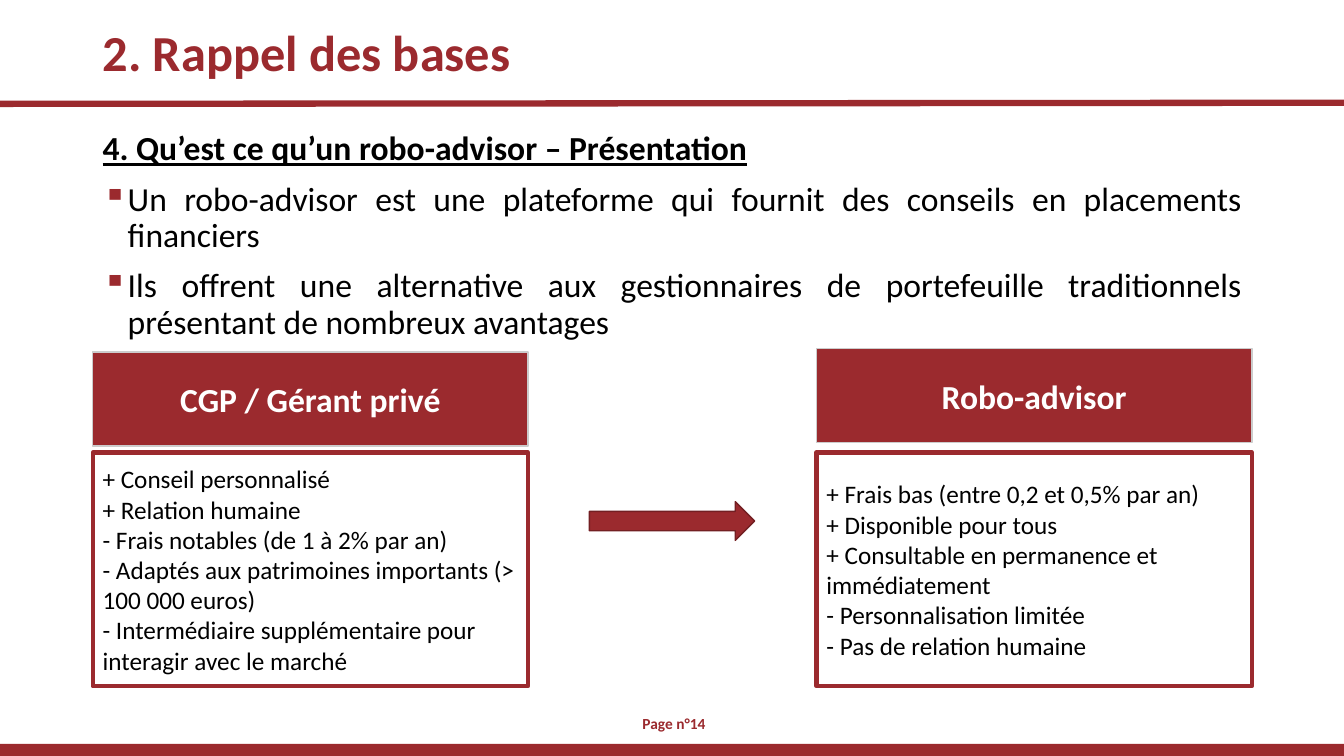
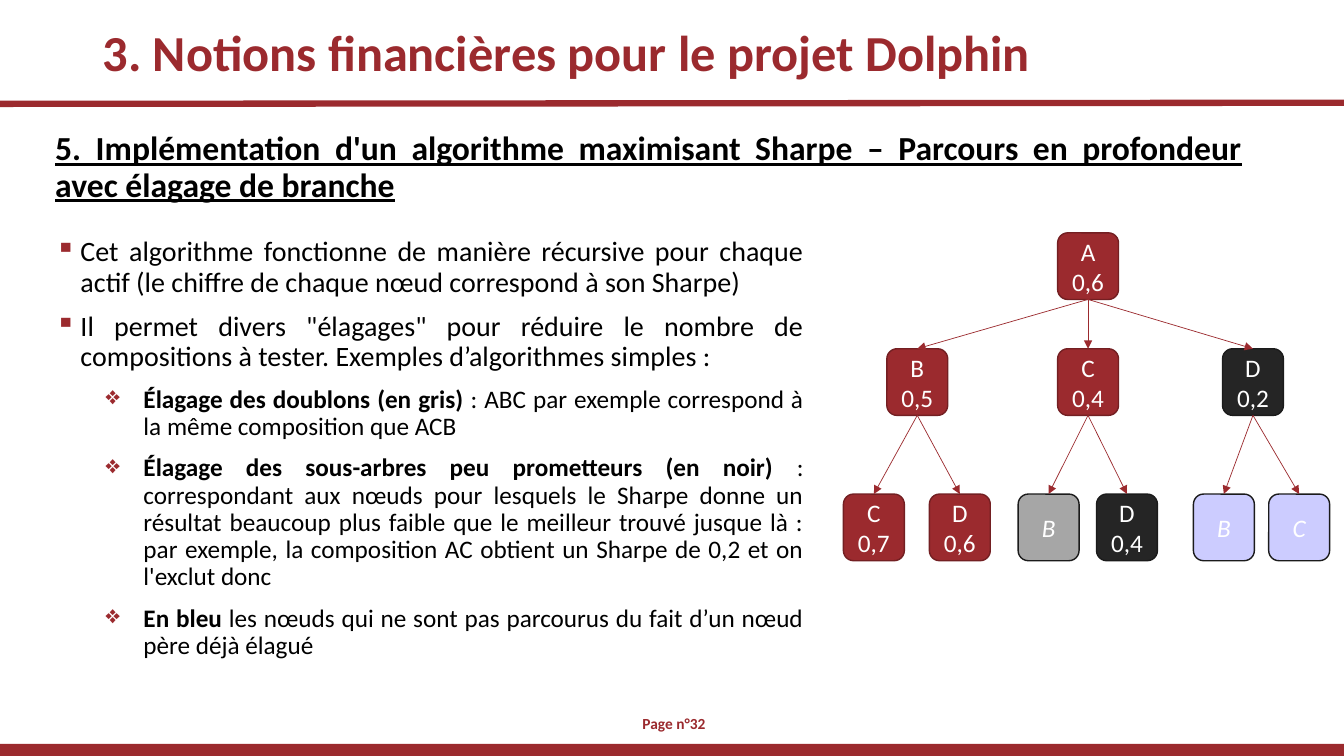
from dataclasses import dataclass

from lxml.etree import SubElement
from pptx import Presentation
from pptx.dml.color import RGBColor
from pptx.enum.shapes import MSO_CONNECTOR as Link, MSO_SHAPE as Form
from pptx.enum.text import MSO_ANCHOR as Anchor, PP_ALIGN as Align
from pptx.oxml.ns import qn
from pptx.util import Pt


@dataclass(frozen=True)
class Theme:
    """Colours, type sizes and page measures shared by the deck."""
    font: str = "Calibri"
    red: str = "9B2A2E"
    dark_red: str = "731F22"
    black: str = "000000"
    white: str = "FFFFFF"
    coal: str = "252525"
    edge: str = "1B1B1B"
    grey: str = "A6A6A6"
    blue: str = "CCCCFF"
    pale: str = "CCCCCC"
    title: int = 36
    heading: int = 24
    body: int = 20
    small: int = 18
    footer: int = 11
    width: int = 960
    height: int = 540
    margin: float = 66.2


@dataclass(frozen=True)
class Bullet:
    """A bullet sign with its left margin and hanging indent."""
    sign: str
    left: int
    hang: int
    level: int = 0


SQUARE = Bullet("▪", 18, 18)
DIAMOND = Bullet("❖", 63, 27, 1)


class Painter:
    """Draws styled elements on the current slide."""

    def __init__(self, theme):
        """Open an empty deck of the theme's size."""
        self.theme = theme
        self.deck = Presentation()
        self.deck.slide_width = Pt(theme.width)
        self.deck.slide_height = Pt(theme.height)
        self.page = None

    def new_page(self, title, number):
        """Start a slide with its title, rule, footer band and number."""
        t = self.theme
        self.page = self.deck.slides.add_slide(self.deck.slide_layouts[6])
        self.shape(Form.RECTANGLE, (0, 531.4, t.width, 8.6), fill=t.red)
        rule = self.page.shapes.add_connector(
            Link.STRAIGHT, Pt(0), Pt(74.2), Pt(t.width), Pt(73.4))
        self.stroke(rule, 4.5)
        frame = self.text_box((t.margin, 15.1, 828, 49), Anchor.MIDDLE)
        para = self.para(frame, spacing=0.9)
        self.span(para, title, t.title, t.red, bold=True)
        frame = self.text_box((443.5, 502.6, 73.4, 28.8), Anchor.MIDDLE)
        para = self.para(frame, Align.CENTER)
        self.span(para, f" Page n°{number}", t.footer, t.red, bold=True)

    def text_box(self, area, anchor=Anchor.TOP):
        """Add a wrapping text box and return its frame."""
        box = self.page.shapes.add_textbox(*map(Pt, area))
        frame = box.text_frame
        frame.word_wrap = True
        frame.vertical_anchor = anchor
        return frame

    def para(self, frame, align=Align.LEFT, spacing=None, before=0, bullet=None):
        """Return the frame's first empty paragraph or a new one."""
        last = frame.paragraphs[-1]
        para = frame.add_paragraph() if last.runs else last
        para.alignment = align
        para.space_before = Pt(before)
        if spacing:
            para.line_spacing = spacing
        if bullet:
            para.level = bullet.level
            props = para._p.get_or_add_pPr()
            props.set("marL", str(Pt(bullet.left)))
            props.set("indent", str(-Pt(bullet.hang)))
            colour = SubElement(props, qn("a:buClr"))
            SubElement(colour, qn("a:srgbClr"), val=self.theme.red)
            SubElement(props, qn("a:buChar"), char=bullet.sign)
        return para

    def span(self, para, text, size, colour, bold=False, italic=False, underline=False):
        """Add one styled run."""
        span = para.add_run()
        span.text = text
        font = span.font
        font.name, font.size = self.theme.font, Pt(size)
        font.color.rgb = RGBColor.from_string(colour)
        font.bold, font.italic, font.underline = bold, italic, underline

    def heading(self, frame, text):
        """Add the underlined section heading."""
        para = self.para(frame, Align.JUSTIFY, 0.9, 10)
        self.span(para, text, self.theme.heading, self.theme.black,
                  bold=True, underline=True)

    def point(self, frame, text, size, bullet=SQUARE, lead=""):
        """Add a justified bullet point with an optional bold lead."""
        para = self.para(frame, Align.JUSTIFY, 0.9, 10, bullet)
        if lead:
            self.span(para, lead, size, self.theme.black, bold=True)
        self.span(para, text, size, self.theme.black)

    def shape(self, form, area, fill=None, line=None, weight=1):
        """Add a flat preset shape."""
        shape = self.page.shapes.add_shape(form, *map(Pt, area))
        shape.shadow.inherit = False
        if fill:
            shape.fill.solid()
            shape.fill.fore_color.rgb = RGBColor.from_string(fill)
        else:
            shape.fill.background()
        if line:
            shape.line.color.rgb = RGBColor.from_string(line)
            shape.line.width = Pt(weight)
        else:
            shape.line.fill.background()
        shape.text_frame.word_wrap = True
        shape.text_frame.vertical_anchor = Anchor.MIDDLE
        return shape

    def stroke(self, line, weight):
        """Give a connector the red line without a shadow."""
        line.line.color.rgb = RGBColor.from_string(self.theme.red)
        line.line.width = Pt(weight)
        SubElement(line._element.spPr, qn("a:effectLst"))

    def card(self, left, top, title, lines):
        """Add a filled header above an outlined list of lines."""
        t = self.theme
        header = self.shape(Form.RECTANGLE, (left, top, 311, 67), t.red, t.pale)
        para = self.para(header.text_frame, Align.CENTER)
        self.span(para, title, t.heading, t.white, bold=True)
        panel = self.shape(Form.RECTANGLE, (left, 323.2, 311, 167), None, t.red, 3)
        for line in lines:
            self.span(self.para(panel.text_frame), line, t.small, t.black)

    def node(self, centre, top, lines, fill, parent=None):
        """Add a tree node and the arrow from its parent."""
        t = self.theme
        edge = t.dark_red if fill == t.red else t.edge
        node = self.shape(Form.ROUNDED_RECTANGLE,
                          (centre - 21.75, top, 43.5, 47.6), fill, edge)
        for line in lines:
            para = self.para(node.text_frame, Align.CENTER)
            self.span(para, line, t.small, t.white, italic=len(lines) == 1)
        if parent:
            arrow = self.page.shapes.add_connector(Link.STRAIGHT, 0, 0, 0, 0)
            arrow.begin_connect(parent, 2)
            arrow.end_connect(node, 0)
            self.stroke(arrow, 0.5)
            SubElement(arrow.line._get_or_add_ln(), qn("a:tailEnd"), type="triangle")
        return node


def build_advisor(painter):
    """Compare private managers with robo-advisors."""
    t = painter.theme
    painter.new_page("2. Rappel des bases", 14)
    frame = painter.text_box((t.margin, 90.7, 828, 405))
    painter.heading(frame, "4. Qu’est ce qu’un robo-advisor – Présentation")
    for text in (
        "Un robo-advisor est une plateforme qui fournit des conseils en "
        "placements financiers",
        "Ils offrent une alternative aux gestionnaires de portefeuille "
        "traditionnels présentant de nombreux avantages",
    ):
        painter.point(frame, text, t.heading)
    painter.card(t.margin, 251.5, "CGP / Gérant privé", (
        "+ Conseil personnalisé",
        "+ Relation humaine",
        "- Frais notables (de 1 à 2% par an)",
        "- Adaptés aux patrimoines importants (> 100 000 euros)",
        "- Intermédiaire supplémentaire pour interagir avec le marché",
    ))
    painter.shape(Form.RIGHT_ARROW, (421, 358.4, 118, 27.6), t.red, t.dark_red)
    painter.card(583.2, 249.1, "Robo-advisor", (
        "+ Frais bas (entre 0,2 et 0,5% par an)",
        "+ Disponible pour tous",
        "+ Consultable en permanence et immédiatement",
        "- Personnalisation limitée",
        "- Pas de relation humaine",
    ))


def build_pruning(painter):
    """Explain the depth-first search and its pruned tree."""
    t = painter.theme
    painter.new_page("3. Notions financières pour le projet Dolphin", 32)
    frame = painter.text_box((32.4, 90.7, 861.8, 405))
    painter.heading(frame, "5. Implémentation d'un algorithme maximisant Sharpe – "
                           "Parcours en profondeur avec élagage de branche")
    frame = painter.text_box((32.4, 166.3, 548.6, 311.8))
    for text in (
        "Cet algorithme fonctionne de manière récursive pour chaque actif "
        "(le chiffre de chaque nœud correspond à son Sharpe)",
        "Il permet divers \"élagages\" pour réduire le nombre de compositions "
        "à tester. Exemples d’algorithmes simples :",
    ):
        painter.point(frame, text, t.body)
    for lead, text in (
        ("Élagage des doublons (en gris) ",
         ": ABC par exemple correspond à la même composition que ACB"),
        ("Élagage des sous-arbres peu prometteurs (en noir) ",
         ": correspondant aux nœuds pour lesquels le Sharpe donne un résultat "
         "beaucoup plus faible que le meilleur trouvé jusque là : par exemple, "
         "la composition AC obtient un Sharpe de 0,2 et on l'exclut donc"),
        ("En bleu ",
         "les nœuds qui ne sont pas parcourus du fait d’un nœud père déjà élagué"),
    ):
        painter.point(frame, text, t.small, DIAMOND, lead)

    root = painter.node(777.2, 166.3, ("A", "0,6"), t.red)
    branches = (
        (655.2, ("B", "0,5"), t.red, (
            (624.2, ("C", "0,7"), t.red), (685.6, ("D", "0,6"), t.red))),
        (777.2, ("C", "0,4"), t.red, (
            (749, ("B",), t.grey), (805, ("D", "0,4"), t.coal))),
        (895, ("D", "0,2"), t.coal, (
            (874.2, ("B",), t.blue), (928, ("C",), t.blue))),
    )
    for centre, lines, fill, leaves in branches:
        branch = painter.node(centre, 249.1, lines, fill, root)
        for leaf_centre, leaf_lines, leaf_fill in leaves:
            painter.node(leaf_centre, 352.9, leaf_lines, leaf_fill, branch)


def main():
    """Build both slides and save the deck."""
    painter = Painter(Theme())
    build_advisor(painter)
    build_pruning(painter)
    painter.deck.save("out.pptx")


main()
